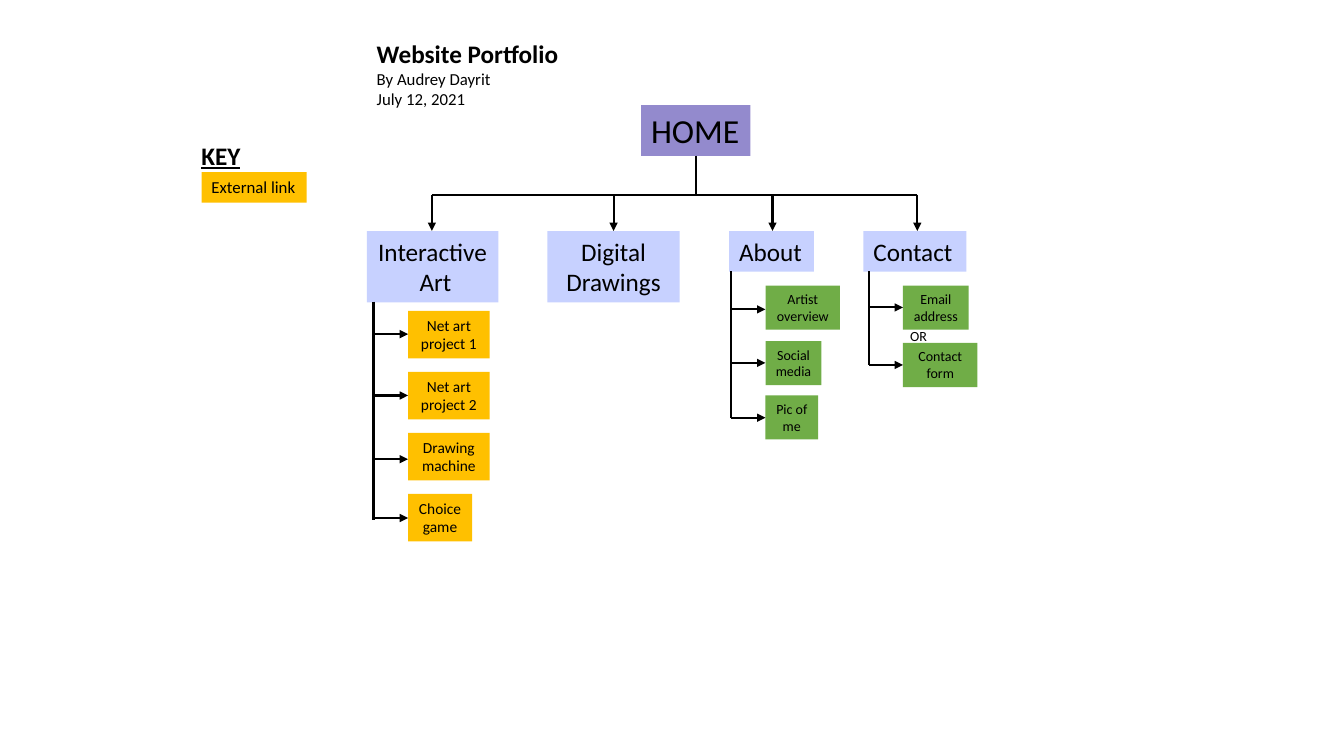
from dataclasses import dataclass
from typing import Optional

from lxml.etree import SubElement
from pptx import Presentation
from pptx.dml.color import RGBColor
from pptx.enum.shapes import MSO_CONNECTOR, MSO_SHAPE
from pptx.enum.text import MSO_ANCHOR, PP_ALIGN
from pptx.oxml.ns import qn
from pptx.util import Pt

BLACK = RGBColor(0x00, 0x00, 0x00)
PURPLE = RGBColor(0x50, 0x40, 0xAE)
LAVENDER = RGBColor(0xC7, 0xD1, 0xFF)
AMBER = RGBColor(0xFF, 0xC0, 0x00)
GREEN = RGBColor(0x70, 0xAD, 0x47)
FONT = "Calibri"


@dataclass
class Box:
    text: str
    x: float
    y: float
    w: float
    h: float
    size: float
    fill: RGBColor
    centered: bool = True
    alpha: Optional[int] = None


@dataclass
class Line:
    text: str
    size: float
    bold: bool = False
    underline: bool = False


@dataclass
class Child:
    text: str
    y: float
    w: float
    arrow_y: float


@dataclass
class Branch:
    trunk_x: float
    top: float
    bottom: float
    box_x: float
    box_h: float
    size: float
    fill: RGBColor
    children: list[Child]


prs = Presentation()
prs.slide_width, prs.slide_height = Pt(960), Pt(540)
slide = prs.slides.add_slide(prs.slide_layouts[6])


def write(tf, lines: list[Line], centered: bool, wrap: bool) -> None:
    tf.word_wrap = wrap
    for i, line in enumerate(lines):
        p = tf.add_paragraph() if i else tf.paragraphs[0]
        p.alignment = PP_ALIGN.CENTER if centered else PP_ALIGN.LEFT
        r = p.add_run()
        r.text = line.text
        r.font.color.rgb = BLACK
        style = {"name": FONT, "size": Pt(line.size),
                 "bold": line.bold, "underline": line.underline}
        for key, value in style.items():
            setattr(r.font, key, value)


def add_box(box: Box) -> None:
    sp = slide.shapes.add_shape(MSO_SHAPE.RECTANGLE, Pt(box.x), Pt(box.y),
                                Pt(box.w), Pt(box.h))
    sp.shadow.inherit = False
    sp.line.fill.background()
    sp.fill.solid()
    sp.fill.fore_color.rgb = box.fill
    if box.alpha is not None:
        color = sp._element.spPr.find(qn("a:solidFill"))[0]
        SubElement(color, qn("a:alpha"), val=str(box.alpha * 1000))
    tf = sp.text_frame
    tf.vertical_anchor = MSO_ANCHOR.TOP
    write(tf, [Line(box.text, box.size)], box.centered, box.centered)


def add_text(lines: list[Line], x: float, y: float, w: float, h: float) -> None:
    sp = slide.shapes.add_textbox(Pt(x), Pt(y), Pt(w), Pt(h))
    write(sp.text_frame, lines, centered=False, wrap=False)


def add_line(x1: float, y1: float, x2: float, y2: float,
             arrow: bool = False) -> None:
    cn = slide.shapes.add_connector(MSO_CONNECTOR.STRAIGHT, Pt(x1), Pt(y1),
                                    Pt(x2), Pt(y2))
    cn.line.color.rgb = BLACK
    cn.line.width = Pt(1.5)
    if arrow:
        SubElement(cn.line._get_or_add_ln(), qn("a:tailEnd"), type="triangle")
    SubElement(cn._element.spPr, qn("a:effectLst"))


def add_branch(branch: Branch) -> None:
    add_line(branch.trunk_x, branch.top, branch.trunk_x, branch.bottom)
    for child in branch.children:
        add_box(Box(child.text, branch.box_x, child.y, child.w, branch.box_h,
                    branch.size, branch.fill))
        add_line(branch.trunk_x, child.arrow_y, branch.box_x, child.arrow_y,
                 arrow=True)


# Home page and main sections
SECTION_Y = 165
for box in (
    Box("HOME", 458, 75, 78, 36.3, 24, PURPLE, centered=False, alpha=61),
    Box("Interactive\u00a0Art", 262, SECTION_Y, 94, 51, 18, LAVENDER),
    Box("Digital Drawings", 391, SECTION_Y, 94.5, 51, 18, LAVENDER),
    Box("About", 520.8, SECTION_Y, 60.6, 29, 18, LAVENDER, centered=False),
    Box("Contact", 616.8, SECTION_Y, 73.6, 29, 18, LAVENDER, centered=False),
):
    add_box(box)

# Connectors from home to the sections
BAR_Y = 139
SECTION_XS = [308.5, 438.3, 551.8, 655.2]
add_line(497.2, 111.2, 497.2, BAR_Y)
add_line(SECTION_XS[0], BAR_Y, SECTION_XS[-1], BAR_Y)
for section_x in SECTION_XS:
    add_line(section_x, BAR_Y, section_x, SECTION_Y, arrow=True)

# Pages below each section
ART_Y, ART_STEP = 222, 43.6
art_pages = [("Net art project 1", 58.3, 238.7), ("Net art project 2", 58.3, 282.5),
             ("Drawing machine", 58.3, 328), ("Choice game", 45.8, 370)]
for branch in (
    Branch(266.8, 215.5, 371.5, 291.5, 34, 11, AMBER,
           [Child(text, ART_Y + i * ART_STEP, w, arrow_y)
            for i, (text, w, arrow_y) in enumerate(art_pages)]),
    Branch(522.4, 193.6, 298.8, 546.8, 31.5, 10, GREEN,
           [Child("Artist overview", 204, 53.2, 221),
            Child("Social media", 243.6, 40, 259.2),
            Child("Pic of me", 282.4, 37.6, 298.4)]),
    Branch(620.9, 193.6, 261, 645, 31.5, 10, GREEN,
           [Child("Email address", 204, 47, 219.6),
            Child("Contact form", 245, 53.2, 260.7)]),
):
    add_branch(branch)
add_text([Line("OR", 10)], 643, 230.4, 28, 19.4)

# Key
add_text([Line("KEY", 18, bold=True, underline=True)], 136.8, 96.5, 46, 29)
add_box(Box("External link", 144, 123, 75, 21.8, 12, AMBER, centered=False))

# Title
add_text([Line("Website Portfolio", 18, bold=True),
          Line("By Audrey Dayrit", 12),
          Line("July 12, 2021", 12)], 262, 23.8, 146.9, 58.3)

prs.save("out.pptx")
